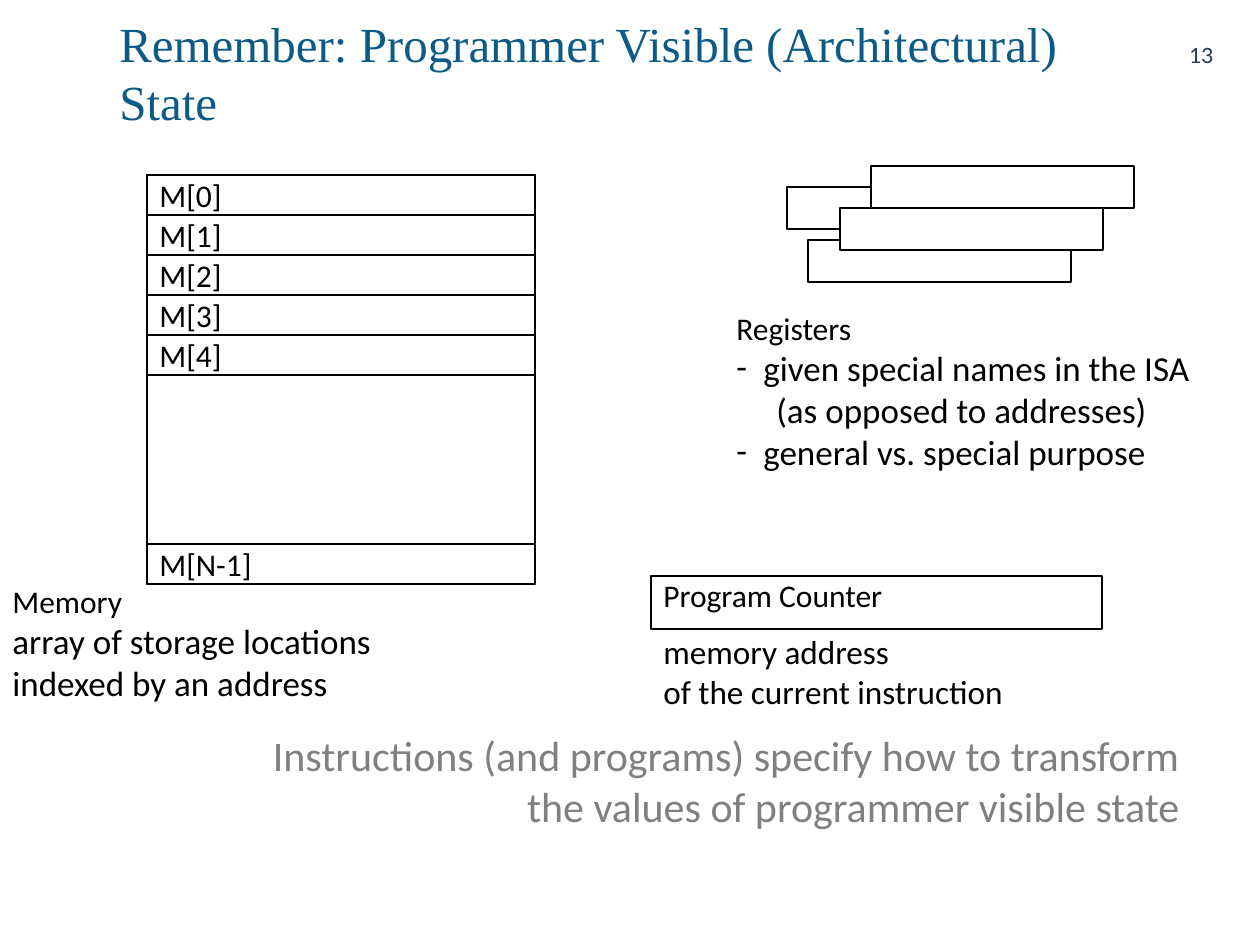
from pptx import Presentation, util as u
from pptx.dml.color import RGBColor
from pptx.enum import shapes, text
from lxml import etree

PX = 914400 // 126
C = {"title": "0C5A86", "number": "1B3861", "ink": "000000", "paper": "FFFFFF", "grey": "808080"}
A = text.MSO_ANCHOR
RIGHT = text.PP_ALIGN.RIGHT

MEMORY = (147, 175, 388, 409)
ROW_H = 40
FIRST_CELLS = ["M[0]", "M[1]", "M[2]", "M[3]", "M[4]"]
LAST_CELL = "M[N-1]"
REGISTERS = [(787, 187), (808, 240), (840, 208), (871, 166)]
REGISTER_SIZE = (263, 42)

MEMORY_NOTE = [("Memory", {"size": 18}),
               ("array of storage locations", {}),
               ("indexed by an address", {})]
REGISTER_NOTE = [("Registers", {"size": 18}),
                 ("given special names in the ISA", {"dash": True}),
                 ("(as opposed to addresses)", {"left": 40}),
                 ("general vs. special purpose", {"dash": True})]
COUNTER = [("Program Counter", {"size": 18}),
           ("memory address", {"before": 10}),
           ("of the current instruction", {})]
CLOSING = [("Instructions (and programs) specify how to transform", {}),
           ("the values of programmer visible state", {})]


def write(sp, lines, size=18, font="Calibri", color="ink", align=text.PP_ALIGN.LEFT,
          anchor=A.TOP, wrap=True, top=6):
    tf = sp.text_frame
    tf.word_wrap = wrap
    tf.vertical_anchor = anchor
    tf.margin_top = top * PX
    for i, (words, extra) in enumerate(lines):
        p = tf.paragraphs[0] if i == 0 else tf.add_paragraph()
        p.alignment = align
        p.space_before = u.Pt(extra.get("before", 0))
        r = p.add_run()
        r.text = words
        r.font.size = u.Pt(extra.get("size", size))
        r.font.name = font
        r.font.color.rgb = RGBColor.from_string(C[color])
        pPr = p._p.get_or_add_pPr()
        if "left" in extra:
            pPr.set("marL", str(extra["left"] * PX))
        if extra.get("dash"):
            pPr.set("marL", str(27 * PX))
            pPr.set("indent", str(-27 * PX))
            ns = pPr.nsmap["a"]
            etree.SubElement(pPr, f"{{{ns}}}buFont").set("typeface", font)
            etree.SubElement(pPr, f"{{{ns}}}buChar").set("char", "-")


prs = Presentation()
prs.slide_width, prs.slide_height = u.Inches(10), u.Inches(7.5)
s = prs.slides.add_slide(prs.slide_layouts[6])


def label(x, y, w, h, lines, **fmt):
    write(s.shapes.add_textbox(x * PX, y * PX, w * PX, h * PX), lines, **fmt)


def box(x, y, w, h, lines=(), **fmt):
    sp = s.shapes.add_shape(shapes.MSO_SHAPE.RECTANGLE, x * PX, y * PX, w * PX, h * PX)
    sp.shadow.inherit = False
    sp.fill.solid()
    sp.fill.fore_color.rgb = RGBColor.from_string(C["paper"])
    sp.line.color.rgb = RGBColor.from_string(C["ink"])
    sp.line.width = u.Pt(1.5)
    if lines:
        write(sp, lines, wrap=False, **fmt)


label(107, 53, 1045, 84, [("Remember: Programmer Visible (Architectural) State", {})],
      size=28, font="Times New Roman", color="title", anchor=A.BOTTOM)
label(1158, 30, 68, 50, [("13", {})], size=12, font="Lato", color="number",
      align=RIGHT, anchor=A.MIDDLE)

mem_x, mem_y, mem_w, mem_h = MEMORY
box(*MEMORY)
cells = [(mem_y + i * ROW_H, name) for i, name in enumerate(FIRST_CELLS)]
cells.append((mem_y + mem_h - ROW_H, LAST_CELL))
for y, name in cells:
    box(mem_x, y, mem_w, ROW_H, [(name, {})], anchor=A.MIDDLE)

label(0, 576, 672, 136, MEMORY_NOTE, size=20)
box(651, 576, 451, 53, COUNTER, size=19, top=0)
for x, y in REGISTERS:
    box(x, y, *REGISTER_SIZE)
label(724, 303, 567, 220, REGISTER_NOTE, size=20)
label(252, 724, 940, 114, CLOSING, size=24, color="grey", align=RIGHT)

prs.save("out.pptx")
